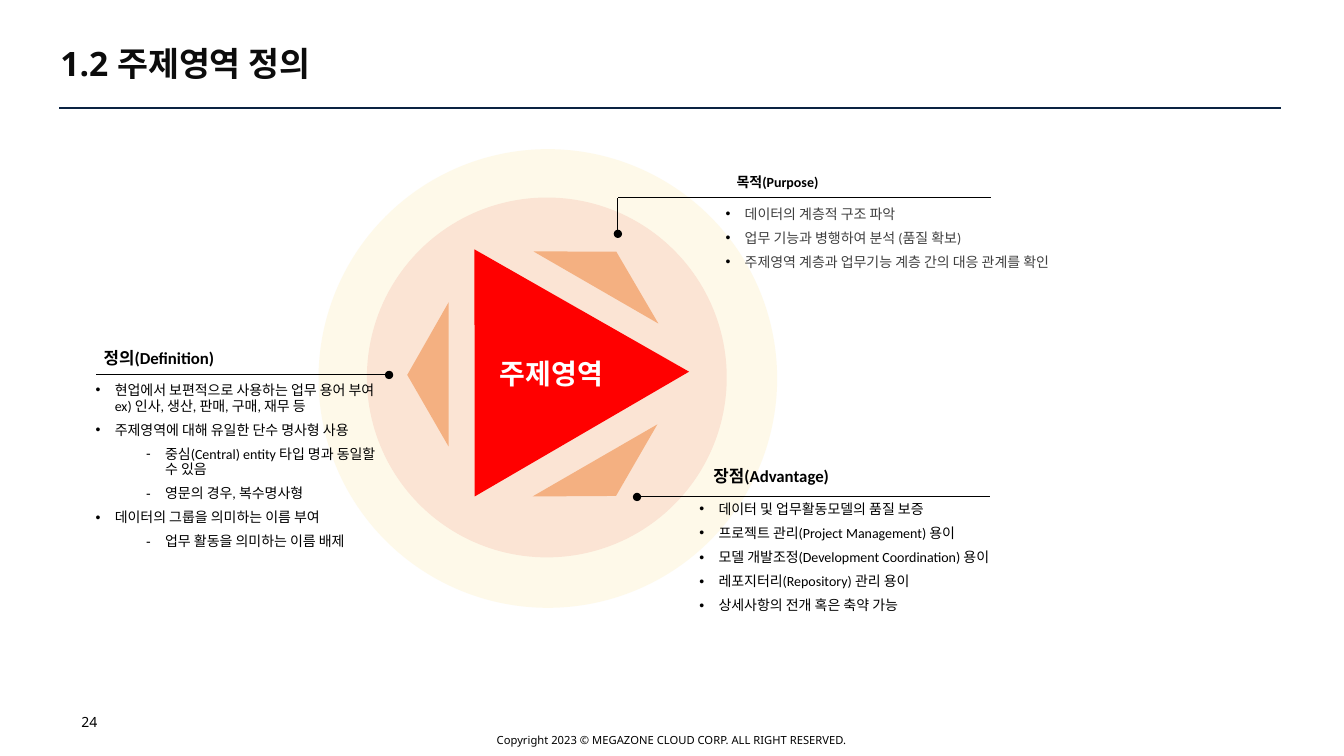
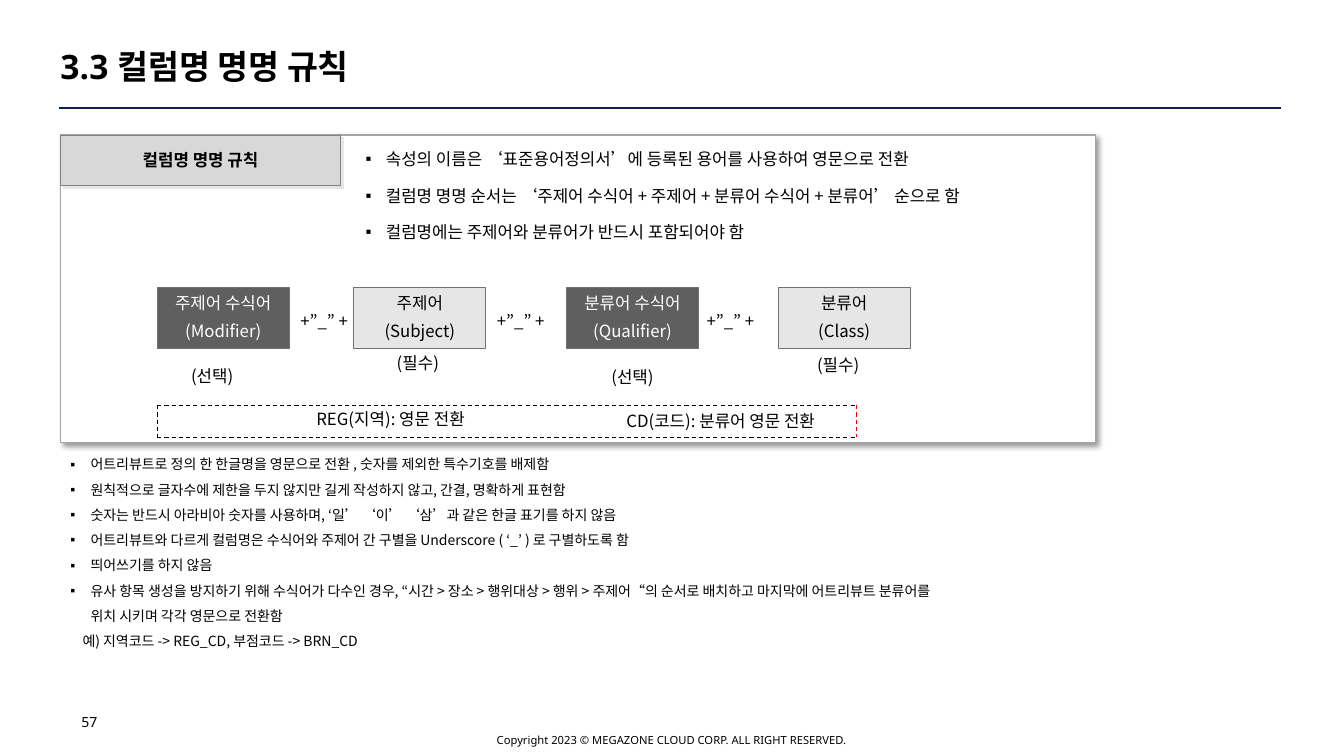
from copy import deepcopy

from lxml import etree
from pptx import Presentation
from pptx.dml.color import RGBColor
from pptx.enum.dml import MSO_LINE
from pptx.enum.shapes import MSO_CONNECTOR, MSO_SHAPE
from pptx.enum.text import MSO_ANCHOR, MSO_AUTO_SIZE, PP_ALIGN
from pptx.oxml.ns import qn
from pptx.util import Emu, Pt

SCALE = 9144  # 100 px to the inch
CENTER, MIDDLE, TOP = PP_ALIGN.CENTER, MSO_ANCHOR.MIDDLE, MSO_ANCHOR.TOP
GROW, FIXED = MSO_AUTO_SIZE.SHAPE_TO_FIT_TEXT, MSO_AUTO_SIZE.NONE
STRAIGHT, DASH = MSO_CONNECTOR.STRAIGHT, MSO_LINE.DASH
RECT, ROUND_RECT = MSO_SHAPE.RECTANGLE, MSO_SHAPE.ROUNDED_RECTANGLE
ELLIPSE, TRIANGLE = MSO_SHAPE.OVAL, MSO_SHAPE.ISOSCELES_TRIANGLE

BLACK, WHITE, NAVY, RED = "000000", "FFFFFF", "0A2342", "FF0000"
SANS, CJK, LATIN = "Noto Sans", "Noto Sans CJK KR", "Calibri"
COPYRIGHT = "Copyright 2023 © MEGAZONE CLOUD CORP. ALL RIGHT RESERVED."
INSETS = (10, 5, 10, 5)
NO_INSETS = (0, 0, 0, 0)


def px(value):
    return Emu(round(value * SCALE))


def color(value):
    return RGBColor.from_string(value)


def child(parent, tag, **attributes):
    return etree.SubElement(parent, qn(tag), {k: str(v) for k, v in attributes.items()})


def apply(target, values):
    for name, value in values.items():
        setattr(target, name, value)


# ---- text ----
def write_para(para, text, size, font=LATIN, ink=BLACK, bold=False, bullet=None,
               margin=0, hang=0, **layout):
    if margin or hang:
        properties = para._p.get_or_add_pPr()
        properties.set("marL", str(px(margin)))
        properties.set("indent", str(px(-hang)))
        if bullet:
            child(child(properties, "a:buClr"), "a:srgbClr", val=BLACK)
            child(properties, "a:buFont", typeface="Arial")
            child(properties, "a:buChar", char=bullet)
    apply(para, layout)
    para.text = text
    for span in para.runs:
        apply(span.font, {"size": Pt(size), "name": font, "bold": bold})
        span.font.color.rgb = color(ink)
        child(span._r.get_or_add_rPr(), "a:ea", typeface=CJK)
    for line_break in para._p.findall(qn("a:br")):
        line_break.insert(0, deepcopy(para.runs[0]._r.rPr))


def fill_frame(shape, paras, anchor=TOP, insets=INSETS, fit=GROW, **common):
    frame = shape.text_frame
    left, top, right, bottom = map(px, insets)
    apply(frame, {"word_wrap": True, "auto_size": fit, "vertical_anchor": anchor,
                  "margin_left": left, "margin_top": top,
                  "margin_right": right, "margin_bottom": bottom})
    for index, entry in enumerate(paras):
        para = frame.paragraphs[0] if index == 0 else frame.add_paragraph()
        values = {**common, **entry}
        if index == 0:
            values.pop("space_before", None)
        write_para(para, **values)


def add_text(page, box, text, **values):
    paras = [{"text": text}] if isinstance(text, str) else text
    fill_frame(page.shapes.add_textbox(*map(px, box)), paras, **values)


# ---- shapes ----
def paint(shape, fill=None, line=None, width=0.75, alpha=None, shadow=None):
    shape.shadow.inherit = False
    if fill:
        shape.fill.solid()
        shape.fill.fore_color.rgb = color(fill)
        if alpha:
            child(shape._element.spPr.find(".//" + qn("a:srgbClr")), "a:alpha", val=alpha * 1000)
    else:
        shape.fill.background()
    if line:
        shape.line.color.rgb = color(line)
        shape.line.width = Pt(width)
    else:
        shape.line.fill.background()
    if shadow:
        ink, opacity, blur, distance = shadow
        effects = shape._element.spPr.find(qn("a:effectLst"))
        outer = child(effects, "a:outerShdw", blurRad=Pt(blur), dist=Pt(distance),
                      dir=45 * 60000, algn="tl", rotWithShape=0)
        child(child(outer, "a:srgbClr", val=ink), "a:alpha", val=opacity * 1000)


def add_shape(page, kind, box, **look):
    shape = page.shapes.add_shape(kind, *map(px, box))
    paint(shape, **look)
    return shape


def add_line(page, start, end, ink=BLACK, width=0.75, dot=False, dash=None):
    line = page.shapes.add_connector(STRAIGHT, *map(px, (*start, *end)))
    line.line.color.rgb = color(ink)
    line.line.width = Pt(width)
    if dash:
        line.line.dash_style = dash
    if dot:
        child(line.line._get_or_add_ln(), "a:headEnd", type="oval")
    child(line._element.spPr, "a:effectLst")


# ---- shared page frame ----
def add_page(deck, title, title_box, number, ink):
    page = deck.slides.add_slide(deck.slide_layouts[6])
    add_line(page, (59, 107), (1271, 107), NAVY, 1.5)
    add_text(page, (432, 713, 469, 30), COPYRIGHT, anchor=MIDDLE, size=8, font=SANS,
             alignment=CENTER, line_spacing=2.0)
    add_text(page, (71, 703, 369, 40), number, fit=FIXED, size=10, font=SANS)
    add_text(page, title_box, title, anchor=MIDDLE, insets=NO_INSETS, fit=FIXED,
             size=24, font=SANS, ink=ink, bold=True, line_spacing=0.9)
    return page


# ---- subject area diagram ----
def add_emblem(page, box):
    left, top, side, _ = box
    add_shape(page, ELLIPSE, box, fill="FEE599", alpha=21)
    add_shape(page, ELLIPSE, (left + 48, top + 48, side - 98, side - 98), fill="FBE4D4")
    core = add_shape(page, TRIANGLE, (left + 85, top + 85, 246, 212), fill=RED)
    core.rotation = 329.8
    # one wedge, turned by a third of a circle each time
    for turn, (dx, dy) in enumerate([(88, 152), (265, 48), (264, 255)]):
        x, y = left + dx, top + dy
        builder = page.shapes.build_freeform(px(x + 41), px(y + 143))
        builder.add_line_segments([(px(x), px(y + 72)), (px(x + 41), px(y))], close=True)
        wedge = builder.convert_to_shape()
        paint(wedge, fill="F4B081")
        wedge.rotation = turn * 120


def add_callout(page, box, heading, heading_shift, items, heading_size=12, ink=BLACK):
    left, top, width, _ = box
    dx, dy = heading_shift
    add_text(page, (left + dx, top + dy, width - 60, 29), heading, size=heading_size,
             bold=True, line_spacing=0.93)
    paras = []
    for item in items:
        sub = item.startswith("- ")
        paras.append({"text": item.removeprefix("- "), "bullet": "-" if sub else "•",
                      "margin": 69 if sub else 19})
    add_text(page, box, paras, size=10, ink=ink, hang=19, line_spacing=0.93,
             space_before=Pt(6))


def build_subject_page(deck):
    page = add_page(deck, "1.2 주제영역 정의", (60, 43, 996, 45), "24", "0C0C0C")
    add_emblem(page, (316, 148, 455, 455))
    add_callout(page, (85, 375, 302, 193), "정의(Definition)", (8, -33), [
        "현업에서 보편적으로 사용하는 업무 용어 부여\nex) 인사, 생산, 판매, 구매, 재무 등",
        "주제영역에 대해 유일한 단수 명사형 사용",
        "- 중심(Central) entity 타입 명과 동일할 수 있음",
        "- 영문의 경우, 복수명사형",
        "데이터의 그룹을 의미하는 이름 부여",
        "- 업무 활동을 의미하는 이름 배제"])
    add_callout(page, (684, 493, 372, 122), "장점(Advantage)", (14, -34), [
        "데이터 및 업무활동모델의 품질 보증",
        "프로젝트 관리(Project Management) 용이",
        "모델 개발조정(Development Coordination) 용이",
        "레포지터리(Repository) 관리 용이",
        "상세사항의 전개 혹은 축약 가능"])
    add_callout(page, (710, 200, 394, 74), "목적(Purpose)", (11, -31), [
        "데이터의 계층적 구조 파악",
        "업무 기능과 병행하여 분석 (품질 확보)",
        "주제영역 계층과 업무기능 계층 간의 대응 관계를 확인"],
        heading_size=10, ink="3F3F3F")
    add_text(page, (486, 349, 158, 44), "주제영역", size=20, ink=WHITE, bold=True)
    # leader lines
    add_line(page, (386, 372), (95, 372), dot=True)
    add_line(page, (632, 493), (982, 493), dot=True)
    add_line(page, (613, 232), (613, 196), dot=True)
    add_line(page, (613, 196), (983, 196))


# ---- column naming rules ----
def add_formula(page, box):
    left, top, width, _ = box
    optional, required = ("5F5F5F", WHITE, "(선택)", 1.5), ("E7E6E6", BLACK, "(필수)", 1.0)
    parts = [  # chip offset, text, style, note offset from chip
        (0, "주제어 수식어", "(Modifier)", optional, (-3, 63)),
        (195, "주제어", "(Subject)", required, (6, 60)),
        (406, "분류어 수식어", "(Qualifier)", optional, (8, 64)),
        (616, "분류어", "(Class)", required, (2, 62))]
    label = {"size": 12, "font": CJK, "alignment": CENTER}
    for dx, korean, english, (fill, ink, note, spacing), (note_dx, note_dy) in parts:
        x = left + dx
        chip = add_shape(page, RECT, (x, top, 131, 61), fill=fill, line="727272")
        fill_frame(chip, [{"text": korean}, {"text": english}], ink=ink,
                   space_before=Pt(6), **label)
        add_text(page, (x + note_dx, top + note_dy, 115, 30), note,
                 line_spacing=spacing, **label)
    for dx in (142, 337, 545):
        add_text(page, (left + dx, top + 23, 62, 20), "+”_” +", insets=NO_INSETS,
                 size=12, font=CJK)
    # dashed example strip, its right side in red
    right, strip, bottom = left + width, top + 117, top + 149
    add_shape(page, RECT, (left, strip, width, 32), fill=WHITE)
    for start, end, ink in [((left, strip), (right, strip), BLACK),
                            ((left, bottom), (right, bottom), BLACK),
                            ((left, strip), (left, bottom), BLACK),
                            ((right, strip), (right, bottom), RED)]:
        add_line(page, start, end, ink, dash=DASH)
    add_text(page, (left + 136, strip - 1, 191, 30), "REG(지역): 영문 전환", **label)
    add_text(page, (left + 438, strip + 1, 242, 30), "CD(코드): 분류어 영문 전환", **label)


def add_rule_panel(page, box):
    left, top, _, _ = box
    panel = add_shape(page, ROUND_RECT, box, fill=WHITE, line="A5A5A5", width=1,
                      shadow=(BLACK, 40, 4, 3))
    panel.adjustments[0] = 0
    tab = add_shape(page, RECT, (left, top, 278, 50), fill="D8D8D8", line="808080",
                    shadow=("E7E6E6", 100, 0, 2.8))
    fill_frame(tab, [{"text": "컬럼명 명명 규칙"}], anchor=MIDDLE, insets=(0, 5, 0, 5),
               fit=FIXED, size=12, font=CJK, bold=True, alignment=CENTER,
               margin=10, hang=10)
    add_text(page, (left + 293, top - 7, 694, 114), [
        {"text": "속성의 이름은 ‘표준용어정의서’에 등록된 용어를 사용하여 영문으로 전환",
         "font": LATIN},
        {"text": "컬럼명 명명 순서는 ‘주제어 수식어 + 주제어 + 분류어 수식어 + 분류어’ 순으로 함"},
        {"text": "컬럼명에는 주제어와 분류어가 반드시 포함되어야 함"}],
        size=12, font=CJK, bullet="▪", margin=20, hang=20, line_spacing=1.8)
    add_formula(page, (left + 96, top + 151, 694, 149))


def build_naming_page(deck):
    page = add_page(deck, "3.3 컬럼명 명명 규칙", (60, 48, 1211, 40), "57", BLACK)
    add_rule_panel(page, (60, 134, 1027, 305))
    rules = [
        "어트리뷰트로 정의 한 한글명을 영문으로 전환 , 숫자를 제외한 특수기호를 배제함",
        "원칙적으로 글자수에 제한을 두지 않지만 길게 작성하지 않고, 간결, 명확하게 표현함",
        "숫자는 반드시 아라비아 숫자를 사용하며, ‘일’ ‘이’ ‘삼’과 같은 한글 표기를 하지 않음",
        "어트리뷰트와 다르게 컬럼명은 수식어와 주제어 간 구별을 Underscore ( ‘_’ ) 로 구별하도록 함",
        "띄어쓰기를 하지 않음",
        "유사 항목 생성을 방지하기 위해 수식어가 다수인 경우, “시간 > 장소 > 행위대상 > 행위 > "
        "주제어“의 순서로 배치하고 마지막에 어트리뷰트 분류어를 위치 시키며 각각 영문으로 전환함"]
    paras = [{"text": rule, "bullet": "▪", "margin": 20, "hang": 20} for rule in rules]
    paras.append({"text": "예) 지역코드 -> REG_CD, 부점코드 -> BRN_CD", "margin": 12})
    add_text(page, (60, 439, 875, 209), paras, size=10, font=CJK, line_spacing=1.5)


def main():
    deck = Presentation()
    deck.slide_width, deck.slide_height = Emu(12192000), px(750)
    build_subject_page(deck)
    build_naming_page(deck)
    deck.save("out.pptx")


if __name__ == "__main__":
    main()
